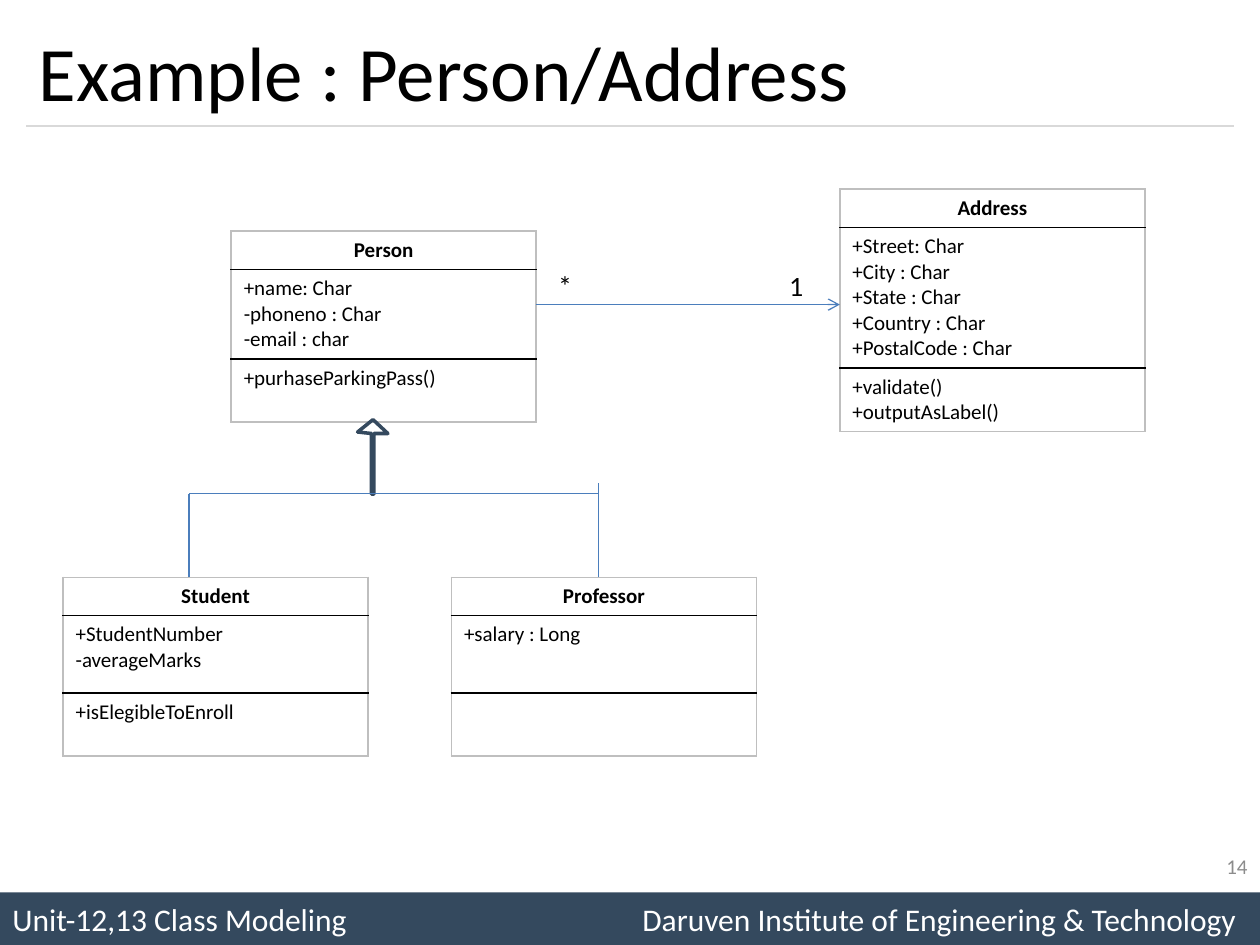
"""Build the Person/Address class diagram slide."""
from dataclasses import dataclass

from lxml import etree
from pptx import Presentation
from pptx import util as u
from pptx.dml.color import RGBColor
from pptx.enum import shapes, text
from pptx.oxml.ns import qn


@dataclass
class Theme:
    font: str = "Calibri"
    ink: str = "000000"
    paper: str = "FFFFFF"
    navy: str = "34495E"
    blue: str = "4B7EBC"
    rule: str = "D9D9D9"
    frame: str = "BFBFBF"
    muted: str = "8C8C8C"
    title: int = 44
    footer: int = 18
    label: int = 16
    body: int = 12


th = Theme()
Cm = u.Cm
rgb = RGBColor.from_string
LEFT, CENTER, RIGHT = text.PP_ALIGN.LEFT, text.PP_ALIGN.CENTER, text.PP_ALIGN.RIGHT


def style(tf, size, color, align=LEFT, bold=False):
    for p in tf.paragraphs:
        p.alignment = align
        p.font.name, p.font.size, p.font.bold = th.font, u.Pt(size), bold
        p.font.color.rgb = rgb(color)


def add_line(x1, y1, x2, y2, color):
    c = s.shapes.add_connector(
        shapes.MSO_CONNECTOR.STRAIGHT, Cm(x1), Cm(y1), Cm(x2), Cm(y2))
    c.line.color.rgb, c.line.width = rgb(color), u.Pt(0.75)
    etree.SubElement(c._element.spPr, qn("a:effectLst"))
    return c


prs = Presentation()
prs.slide_width, prs.slide_height = Cm(25.4), Cm(19.05)
s = prs.slides.add_slide(prs.slide_layouts[5])

bar = s.shapes.add_shape(
    shapes.MSO_SHAPE.RECTANGLE, 0, Cm(17.99), Cm(25.4), Cm(1.06))
bar.shadow.inherit = False
bar.fill.solid()
bar.fill.fore_color.rgb = rgb(th.navy)
bar.line.fill.background()
tf = bar.text_frame
tf.vertical_anchor = text.MSO_ANCHOR.MIDDLE
tf.text = "Unit-12,13 Class Modeling\tDaruven Institute of Engineering & Technology"
style(tf, th.footer, th.paper)
tabs = etree.Element(qn("a:tabLst"))
etree.SubElement(tabs, qn("a:tab"), pos=str(Cm(12.7)), algn="l")
tf.paragraphs[0]._p.get_or_add_pPr().insert(0, tabs)

add_line(0.53, 2.54, 24.87, 2.54, th.rule)

title = s.shapes.title
title.left, title.top, title.width, title.height = Cm(0.53), Cm(0.3), Cm(24.33), Cm(2.24)
title.text = "Example : Person/Address"
title.text_frame.vertical_anchor = text.MSO_ANCHOR.MIDDLE
style(title.text_frame, th.title, th.ink)

classes = [
    (4.66, 4.66, 1.79, "Person",
     "+name: Char\n-phoneno : Char\n-email : char", "+purhaseParkingPass()"),
    (1.27, 11.64, 1.56, "Student",
     "+StudentNumber\n-averageMarks", "+isElegibleToEnroll"),
    (9.1, 11.64, 1.56, "Professor", "+salary : Long", ""),
    (16.93, 3.81, 2.83, "Address",
     "+Street: Char\n+City : Char\n+State : Char\n+Country : Char\n+PostalCode : Char",
     "+validate()\n+outputAsLabel()"),
]
for x, y, attr_height, *parts in classes:
    heights = (0.77, attr_height, 1.27)
    tbl = s.shapes.add_table(
        3, 1, Cm(x), Cm(y), Cm(6.15), Cm(sum(heights))).table
    tbl.first_row = tbl.horz_banding = False
    for i, (height, content) in enumerate(zip(heights, parts)):
        tbl.rows[i].height = Cm(height)
        cell = tbl.cell(i, 0)
        cell.text = content
        style(cell.text_frame, th.body, th.ink, LEFT if i else CENTER, i == 0)
        edges = {"L": th.frame, "R": th.frame,
                 "T": th.ink if i else th.frame, "B": th.ink if i < 2 else th.frame}
        for side, color in edges.items():
            ln = etree.SubElement(
                cell._tc.get_or_add_tcPr(), qn(f"a:ln{side}"), w=str(u.Pt(1)))
            fill = etree.SubElement(ln, qn("a:solidFill"))
            etree.SubElement(fill, qn("a:srgbClr"), val=color)
        cell.fill.solid()
        cell.fill.fore_color.rgb = rgb(th.paper)

outline = [(Cm(x), Cm(y)) for x, y in (
    (7.49, 9.96), (7.49, 8.74), (7.21, 8.71), (7.52, 8.46),
    (7.82, 8.74), (7.54, 8.74), (7.54, 9.96))]
fb = s.shapes.build_freeform(*outline[0])
fb.add_line_segments(outline[1:], close=True)
arrow = fb.convert_to_shape()
arrow.shadow.inherit = False
arrow.fill.background()
arrow.line.color.rgb, arrow.line.width = rgb(th.navy), u.Pt(2)

add_line(3.81, 11.64, 3.81, 9.95, th.blue)
add_line(12.07, 11.64, 12.07, 9.74, th.blue)
add_line(3.81, 9.95, 12.07, 9.95, th.blue)
link = add_line(10.8, 6.14, 16.93, 6.14, th.blue)
etree.SubElement(link.line._get_or_add_ln(), qn("a:tailEnd"), type="arrow")

labels = [
    (11, 5.29, 0.8, 0.94, "*", th.label, th.ink, LEFT),
    (15.66, 5.29, 0.82, 0.94, "1", th.label, th.ink, LEFT),
    (19.48, 16.95, 5.92, 1.01, "14", th.body, th.muted, RIGHT),
]
for x, y, w, h, label, size, color, align in labels:
    tf = s.shapes.add_textbox(Cm(x), Cm(y), Cm(w), Cm(h)).text_frame
    tf.word_wrap = align == RIGHT
    tf.vertical_anchor = text.MSO_ANCHOR.MIDDLE
    tf.text = label
    style(tf, size, color, align)

prs.save("out.pptx")
